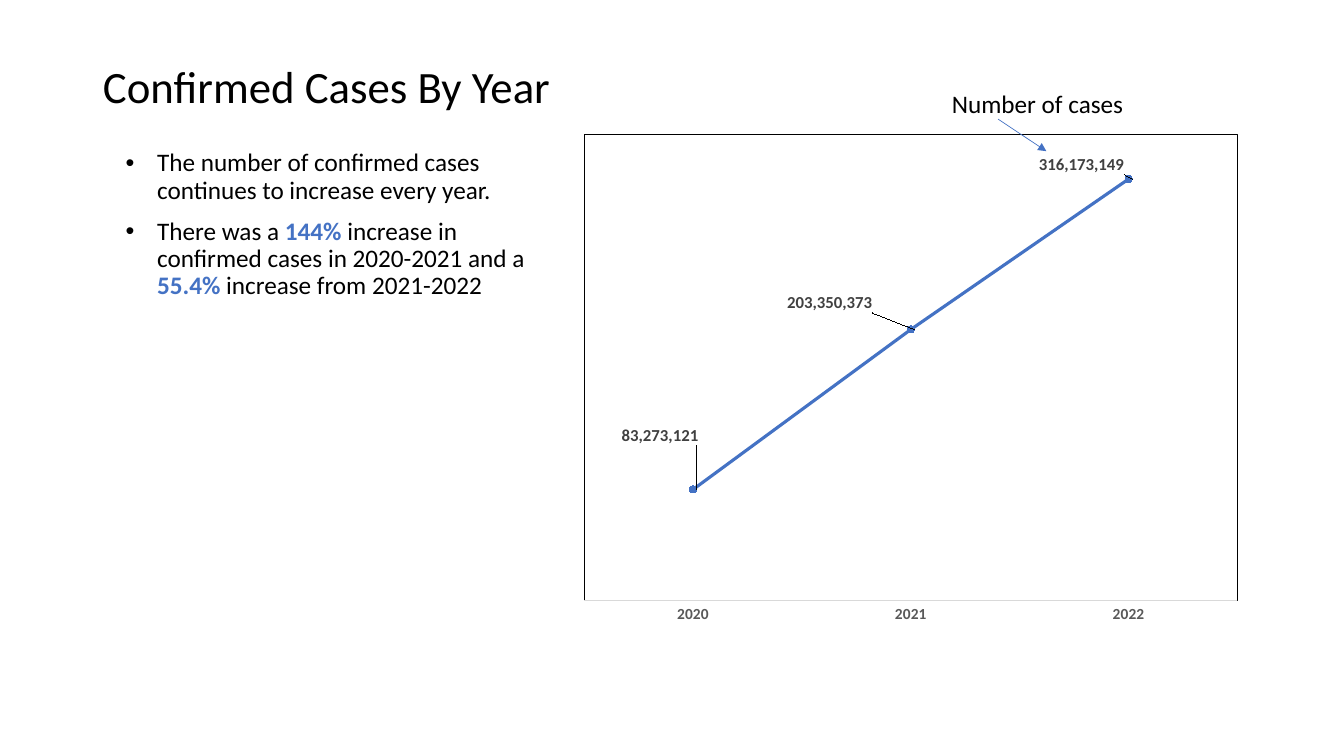
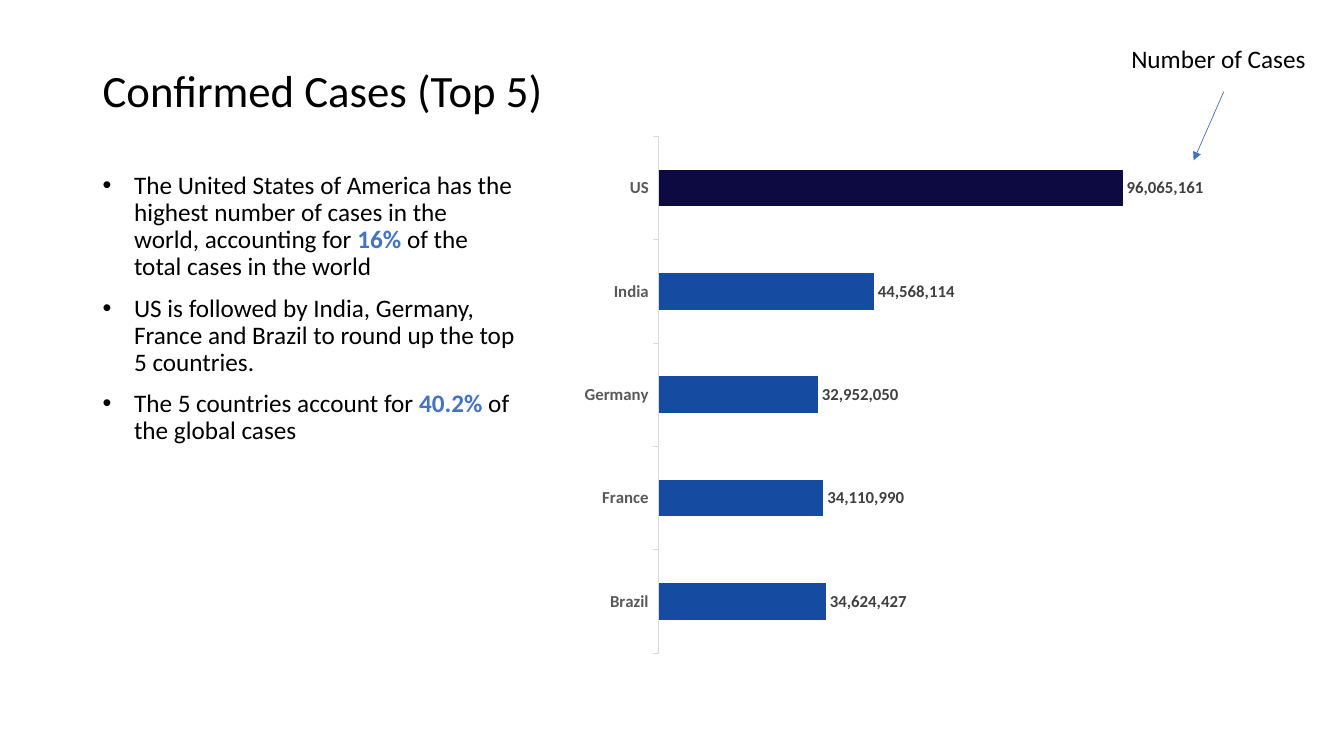
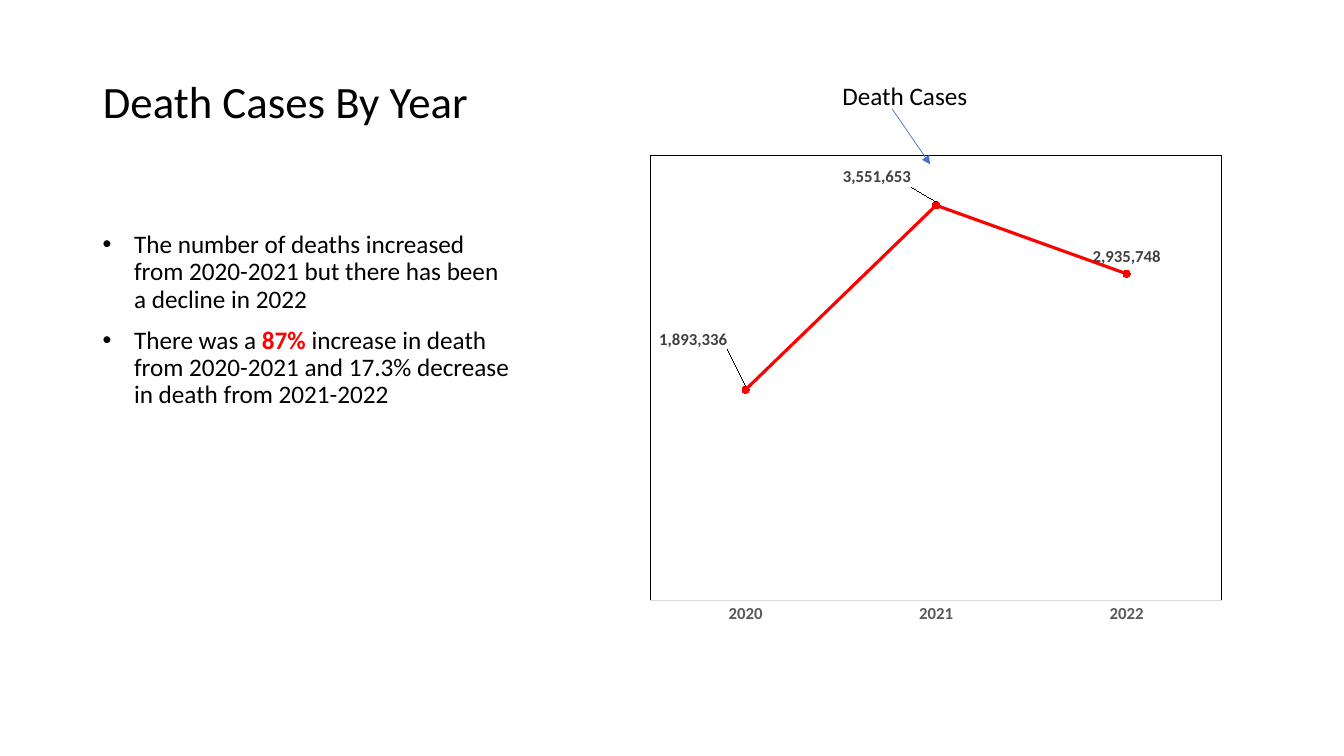
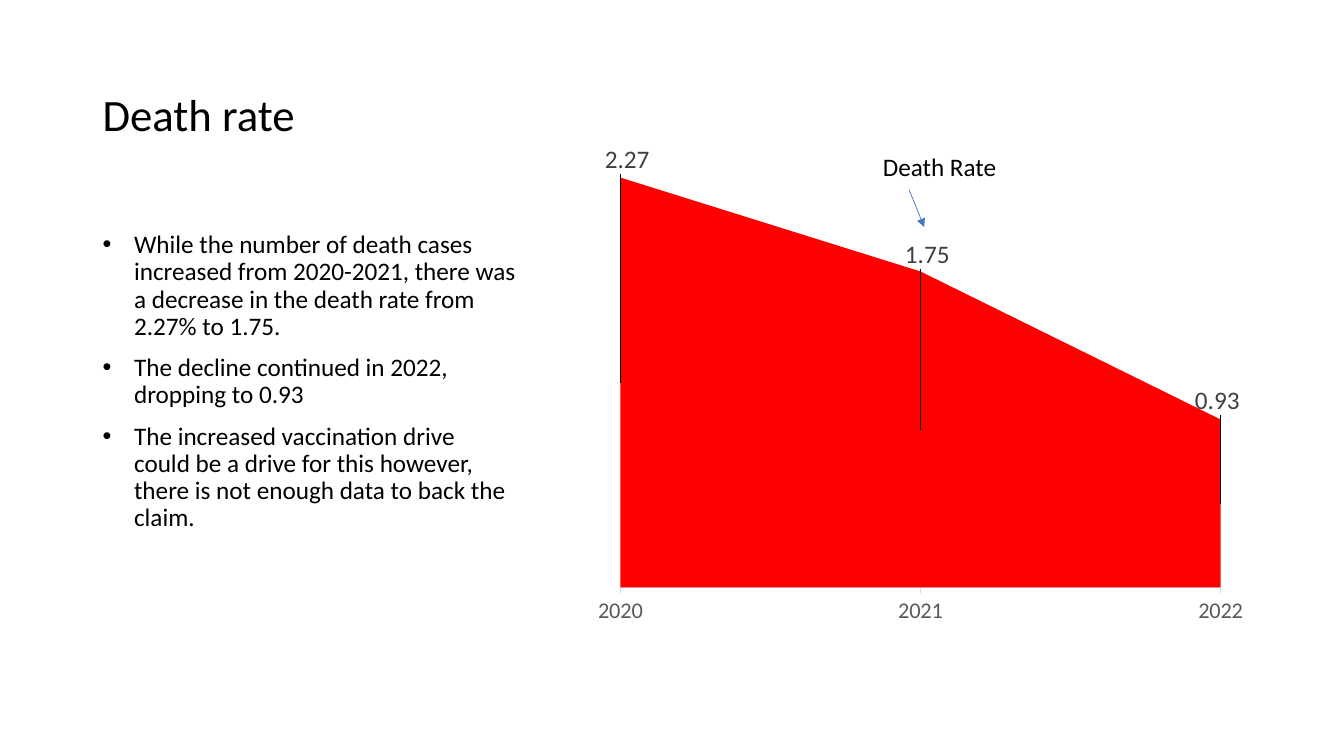
from dataclasses import dataclass

from lxml.etree import SubElement
from pptx import Presentation
from pptx.chart.data import CategoryChartData as Data
from pptx.dml.color import RGBColor
from pptx.enum.chart import XL_CHART_TYPE as Kind
from pptx.enum.chart import XL_LABEL_POSITION as Pos
from pptx.enum.chart import XL_MARKER_STYLE as Mark
from pptx.enum.chart import XL_TICK_MARK as Tick
from pptx.enum.shapes import MSO_CONNECTOR as Link
from pptx.enum.text import MSO_ANCHOR as Anchor
from pptx.enum.text import MSO_AUTO_SIZE as Auto
from pptx.enum.text import PP_ALIGN as Align
from pptx.oxml import parse_xml
from pptx.oxml.ns import nsdecls, qn
from pptx.util import Cm, Pt

FONT = "Calibri"
BLACK, GREY, DARK, PALE = "000000", "595959", "404040", "D9D9D9"
BLUE, RED, ROYAL, NAVY = "4472C4", "FF0000", "164BA2", "0D0A42"
YEARS = ("2020", "2021", "2022")

Box = tuple[float, float, float, float]
Spot = tuple[float, float]


@dataclass(frozen=True)
class Graph:
    """A one-series chart; plot and label shifts are in percent of its size."""

    kind: Kind
    box: Box
    plot: Box
    cats: tuple[str, ...]
    vals: tuple[float, ...]
    top: float
    color: str
    shifts: tuple[Spot, ...] = ()
    pos: Pos | None = None
    fmt: str = "#,##0"
    axis: float = 12
    size: float = 12
    bold: bool = True
    tick: Tick = Tick.NONE
    frame: bool = False
    peak: str = ""


@dataclass(frozen=True)
class Page:
    """A slide with a title, bullets, a chart and a note with an arrow."""

    title: str
    head: Box
    body: Spot
    points: tuple[str, ...]
    accent: str
    graph: Graph
    note: str
    tag: Box
    arrow: Box


PAGES = (
    Page(
        "Confirmed Cases By Year", (2.34, 1.09, 12.07, 1.9), (2.92, 3.66),
        (
            "The number of confirmed cases continues to increase every year.",
            "There was a *144%* increase in confirmed cases in 2020-2021 and a "
            "*55.4%* increase from 2021-2022",
        ),
        BLUE,
        Graph(
            Kind.LINE_MARKERS, (14.38, 3.12, 17.15, 12.85), (2, 2, 96, 91.5),
            YEARS, (83273121, 203350373, 316173149), 350_000_000, BLUE,
            ((-11.6, -10.6), (-19.3, -5.2), (-14.3, -2.9)), Pos.RIGHT,
            axis=11, frame=True,
        ),
        "Number of cases", (23.74, 2.11, 5.26, 1.02), (25.15, 3, 26.37, 3.81),
    ),
    Page(
        "Confirmed Cases (Top 5)", (2.33, 0.95, 11.73, 2.13), (2.34, 4.22),
        (
            "The United States of America has the highest number of cases in "
            "the world, accounting for *16%* of the total cases in the world",
            "US is followed by India, Germany, France and Brazil to round up "
            "the top 5 countries.",
            "The 5 countries account for *40.2%* of the global cases",
        ),
        BLUE,
        Graph(
            Kind.BAR_CLUSTERED, (14.42, 3.18, 17.15, 13.54),
            (12.7, 1.9, 85.2, 96.2),
            ("Brazil", "France", "Germany", "India", "US"),
            (34624427, 34110990, 32952050, 44568114, 96065161),
            120_000_000, ROYAL, pos=Pos.OUTSIDE_END, tick=Tick.OUTSIDE,
            peak=NAVY,
        ),
        "Number of Cases", (28.26, 0.97, 5.16, 1.02),
        (30.84, 2.31, 30.08, 4.04),
    ),
    Page(
        "Death Cases By Year", (2.34, 1.45, 10.92, 1.9), (2.34, 5.72),
        (
            "The number of deaths increased from 2020-2021 but there has been "
            "a decline in 2022",
            "There was a *87%* increase in death from 2020-2021 and 17.3% "
            "decrease in death from 2021-2022",
        ),
        RED,
        Graph(
            Kind.LINE_MARKERS_STACKED, (14.4, 2.74, 17.15, 13.54),
            (11.6, 8.7, 84, 82.8), YEARS, (1893336, 3551653, 2935748),
            4_000_000, RED, ((-7.7, -6.1), (-8.7, -2), (0, 0)), Pos.ABOVE,
            frame=True,
        ),
        "Death Cases", (20.98, 1.91, 3.99, 1.02), (22.48, 2.74, 23.44, 4.14),
    ),
    Page(
        "Death rate", (2.33, 1.78, 10.92, 1.9), (2.34, 5.72),
        (
            "While the number of death cases increased from 2020-2021, there "
            "was a decrease in the death rate from 2.27% to 1.75.",
            "The decline continued in 2022, dropping to 0.93",
            "The increased vaccination drive could be a drive for this "
            "however, there is not enough data to back the claim.",
        ),
        RED,
        Graph(
            Kind.AREA, (14.4, 2.74, 17.15, 13.54), (7.2, 5.1, 88.2, 84),
            YEARS, (2.27, 1.75, 0.93), 2.5, RED,
            ((1, -41.5), (1, -32.6), (-0.5, -19.2)), fmt="General", axis=16,
            size=18, bold=False, tick=Tick.OUTSIDE,
        ),
        "Death Rate", (22, 3.68, 3.58, 1.02), (22.91, 4.78, 23.29, 5.72),
    ),
)


def rgb(code: str) -> RGBColor:
    """Turn a hex string into a colour."""
    return RGBColor.from_string(code)


def style(font, size: float, color: str = BLACK, bold: bool = False) -> None:
    """Format a font."""
    font.name, font.size, font.bold = FONT, Pt(size), bold
    font.color.rgb = rgb(color)


def fill(part, color: str) -> None:
    """Fill a chart part with one colour."""
    part.format.fill.solid()
    part.format.fill.fore_color.rgb = rgb(color)


def stroke(line, color: str, width: float) -> None:
    """Format a line."""
    line.color.rgb, line.width = rgb(color), Pt(width)


def layout(rows: dict[str, float], inner: bool = False):
    """Make a manual chart layout from percentages."""
    edges = ("layoutTarget", "inner"), ("xMode", "edge"), ("yMode", "edge")
    pairs = list(edges) if inner else []
    pairs += [(key, round(val / 100, 4)) for key, val in rows.items()]
    tags = "".join(f'<c:{key} val="{val}"/>' for key, val in pairs)
    return parse_xml(
        f"<c:layout {nsdecls('c')}><c:manualLayout>{tags}"
        "</c:manualLayout></c:layout>"
    )


def set_plot(chart, graph: Graph) -> None:
    """Place the plot area and frame it if asked."""
    area = chart._chartSpace.find(".//" + qn("c:plotArea"))
    for old in area.findall(qn("c:layout")):
        area.remove(old)
    area.insert(0, layout(dict(zip("xywh", graph.plot)), True))
    if graph.frame:
        area.append(parse_xml(
            f"<c:spPr {nsdecls('c', 'a')}><a:noFill/><a:ln w='9525'>"
            f"<a:solidFill><a:srgbClr val='{BLACK}'/></a:solidFill>"
            "</a:ln></c:spPr>"
        ))


def set_axes(chart, graph: Graph) -> None:
    """Format the category axis and hide the value axis."""
    cat, val = chart.category_axis, chart.value_axis
    cat.has_major_gridlines = val.has_major_gridlines = False
    cat.major_tick_mark, cat.minor_tick_mark = graph.tick, Tick.NONE
    style(cat.tick_labels.font, graph.axis, GREY, graph.bold)
    stroke(cat.format.line, PALE, 0.75)
    val.minimum_scale, val.maximum_scale = 0, graph.top
    val.visible = False


def drop_leads(tags) -> None:
    """Turn off the leader lines of moved labels."""
    for old in tags.findall(qn("c:showLeaderLines")):
        tags.remove(old)
    tags.append(parse_xml(
        f"<c:extLst {nsdecls('c')}>"
        '<c:ext uri="{CE6537A1-D6FC-4f65-9D91-7224C49458BB}" xmlns:c15='
        '"http://schemas.microsoft.com/office/drawing/2012/chart">'
        '<c15:showLeaderLines val="0"/></c:ext></c:extLst>'
    ))


def set_labels(row, graph: Graph) -> None:
    """Show the values and shift their labels."""
    tags = row.data_labels
    tags.show_value = True
    tags.number_format, tags.number_format_is_linked = graph.fmt, False
    style(tags.font, graph.size, DARK, graph.bold)
    if graph.pos is not None:
        tags.position = graph.pos
    for num in range(len(graph.shifts)):
        tag = row.points[num].data_label
        style(tag.font, graph.size, DARK, graph.bold)
        if graph.pos is not None:
            tag.position = graph.pos
    group = row._element.find(qn("c:dLbls"))
    for node, shift in zip(group.findall(qn("c:dLbl")), graph.shifts):
        node.insert(1, layout(dict(zip("xy", shift))))
    drop_leads(group)


def add_graph(slide, graph: Graph) -> None:
    """Draw a chart."""
    data = Data(number_format=graph.fmt)
    data.categories = graph.cats
    data.add_series("Series 1", graph.vals)
    area = map(Cm, graph.box)
    chart = slide.shapes.add_chart(graph.kind, *area, data).chart
    chart.has_title = chart.has_legend = False
    style(chart.font, 10)
    plot = chart.plots[0]
    plot.vary_by_categories = False
    row = plot.series[0]
    if graph.kind in (Kind.LINE_MARKERS, Kind.LINE_MARKERS_STACKED):
        row.smooth = False
        stroke(row.format.line, graph.color, 2.25)
        row.marker.style, row.marker.size = Mark.CIRCLE, 5
        fill(row.marker, graph.color)
        stroke(row.marker.format.line, graph.color, 0.75)
    else:
        fill(row, graph.color)
    if graph.kind == Kind.BAR_CLUSTERED:
        plot.gap_width = 182
    if graph.peak:
        fill(row.points[graph.vals.index(max(graph.vals))], graph.peak)
    set_axes(chart, graph)
    set_labels(row, graph)
    set_plot(chart, graph)


def add_title(slide, text: str, box: Box) -> None:
    """Place and format the title."""
    title = slide.shapes.title
    title.left, title.top, title.width, title.height = map(Cm, box)
    frame = title.text_frame
    frame.text = text
    frame.auto_size, frame.vertical_anchor = Auto.NONE, Anchor.BOTTOM
    para = frame.paragraphs[0]
    para.alignment, para.line_spacing = Align.LEFT, 0.9
    style(para.runs[0].font, 32)


def add_body(slide, spot: Spot, points: tuple[str, ...], accent: str) -> None:
    """Write bullets, with the words between asterisks picked out."""
    area = map(Cm, (*spot, 10.92, 10.59))
    frame = slide.shapes.add_textbox(*area).text_frame
    frame.word_wrap = True
    for num, point in enumerate(points):
        para = frame.add_paragraph() if num else frame.paragraphs[0]
        props = para._p.get_or_add_pPr()
        props.set("marL", str(Cm(0.79)))
        props.set("indent", str(-Cm(0.79)))
        SubElement(props, qn("a:buFont")).set("typeface", "Arial")
        SubElement(props, qn("a:buChar")).set("char", "•")
        para.line_spacing = 0.9
        if num:
            para.space_before = Pt(10)
        for part, words in enumerate(point.split("*")):
            run = para.add_run()
            run.text = words
            strong = part % 2 == 1
            style(run.font, 18, accent if strong else BLACK, strong)


def add_arrow(slide, ends: Box) -> None:
    """Draw a thin arrow."""
    arrow = slide.shapes.add_connector(Link.STRAIGHT, *map(Cm, ends))
    stroke(arrow.line, BLUE, 0.5)
    props = arrow._element.spPr
    SubElement(props.find(qn("a:ln")), qn("a:tailEnd")).set("type", "triangle")
    SubElement(props, qn("a:effectLst"))


def add_note(slide, text: str, box: Box) -> None:
    """Write the note above the arrow."""
    frame = slide.shapes.add_textbox(*map(Cm, box)).text_frame
    frame.word_wrap, frame.auto_size = True, Auto.SHAPE_TO_FIT_TEXT
    frame.text = text
    style(frame.paragraphs[0].runs[0].font, 18)


def main() -> None:
    """Build the deck."""
    deck = Presentation()
    deck.slide_width, deck.slide_height = Cm(33.87), Cm(19.05)
    for page in PAGES:
        slide = deck.slides.add_slide(deck.slide_layouts[5])
        add_title(slide, page.title, page.head)
        add_body(slide, page.body, page.points, page.accent)
        add_graph(slide, page.graph)
        add_arrow(slide, page.arrow)
        add_note(slide, page.note, page.tag)
    deck.save("out.pptx")


if __name__ == "__main__":
    main()
